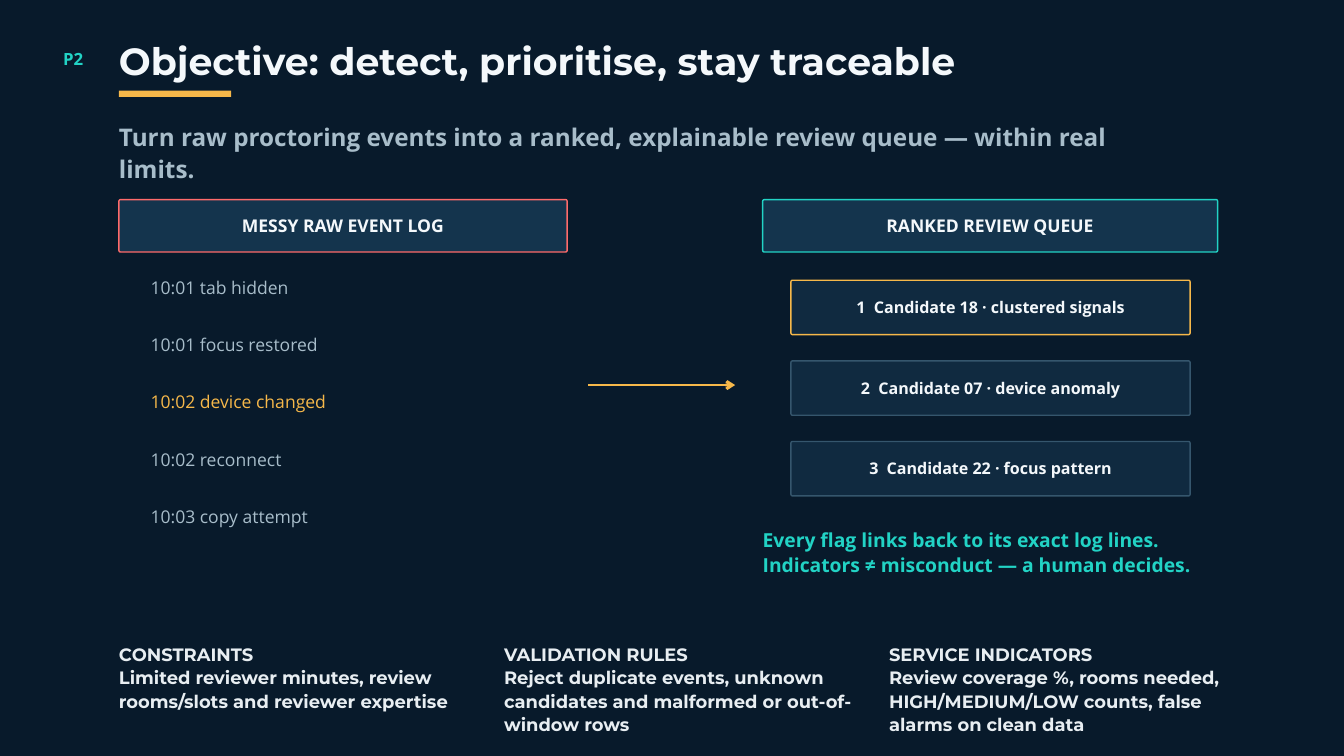
from lxml import etree
from pptx import Presentation
from pptx.dml.color import RGBColor
from pptx.enum.shapes import MSO_CONNECTOR, MSO_SHAPE
from pptx.enum.text import MSO_ANCHOR, MSO_AUTO_SIZE, PP_ALIGN
from pptx.oxml.ns import qn
from pptx.util import Inches, Pt

LEFT, CENTER = PP_ALIGN.LEFT, PP_ALIGN.CENTER
TOP, MIDDLE = MSO_ANCHOR.TOP, MSO_ANCHOR.MIDDLE
NO_AUTOFIT = MSO_AUTO_SIZE.NONE
HEADING, BODY = "Montserrat", "Open Sans"
NAVY, PANEL, CARD, EDGE = "081A2B", "14344D", "102A40", "35566D"
WHITE, PALE, MUTED = "F4F8FB", "E8EEF2", "A8BDCA"
TEAL, AMBER, RED = "22D3C5", "F6B84A", "FF6B6B"

PAGE = "P2"
TITLE = "Objective: detect, prioritise, stay traceable"
SUBTITLE = "Turn raw proctoring events into a ranked, explainable review queue — within real limits."
HEADERS = [
    ("MESSY RAW EVENT LOG", 1.77, 6.67, RED),
    ("RANKED REVIEW QUEUE", 11.35, 6.77, TEAL),
]
EVENTS = [
    ("10:01 tab hidden", MUTED),
    ("10:01 focus restored", MUTED),
    ("10:02 device changed", AMBER),
    ("10:02 reconnect", MUTED),
    ("10:03 copy attempt", MUTED),
]
QUEUE = [
    ("1  Candidate 18 · clustered signals", AMBER),
    ("2  Candidate 07 · device anomaly", EDGE),
    ("3  Candidate 22 · focus pattern", EDGE),
]
QUEUE_NOTE = "Every flag links back to its exact log lines. Indicators ≠ misconduct — a human decides."
NOTES = [
    ("CONSTRAINTS", "Limited reviewer minutes, review rooms/slots and reviewer expertise"),
    ("VALIDATION RULES", "Reject duplicate events, unknown candidates and malformed or out-of-window rows"),
    ("SERVICE INDICATORS", "Review coverage %, rooms needed, HIGH/MEDIUM/LOW counts, false alarms on clean data"),
]


def rgb(value):
    """Turn a hex string into a colour."""
    return RGBColor.from_string(value)


def write(sp, lines, size, leading, color, font=BODY, bold=True,
          align=LEFT, anchor=TOP, inset=0):
    """Fill a shape with evenly formatted paragraphs."""
    tf = sp.text_frame
    tf.word_wrap = True
    tf.auto_size = NO_AUTOFIT
    tf.vertical_anchor = anchor
    tf.margin_left = tf.margin_right = tf.margin_top = tf.margin_bottom = Inches(inset)
    tf.text = "\n".join(lines)
    for p in tf.paragraphs:
        p.alignment = align
        p.line_spacing = Pt(leading)
        p.font.name = font
        p.font.size = Pt(size)
        p.font.bold = bold
        p.font.color.rgb = rgb(color)


def add_text(s, box, lines, size, leading, color, **style):
    """Add a text box."""
    sp = s.shapes.add_textbox(*map(Inches, box))
    write(sp, lines, size, leading, color, **style)


def add_box(s, box, text, size, leading, fill, line):
    """Add a softly rounded box with a centred label."""
    sp = s.shapes.add_shape(MSO_SHAPE.ROUNDED_RECTANGLE, *map(Inches, box))
    sp.adjustments[0] = 0.03
    sp.shadow.inherit = False
    sp.fill.solid()
    sp.fill.fore_color.rgb = rgb(fill)
    sp.line.color.rgb = rgb(line)
    sp.line.width = Pt(1.5)
    write(sp, [text], size, leading, WHITE, align=CENTER, anchor=MIDDLE, inset=0.06)


def add_arrow(s, x1, x2, y):
    """Add a horizontal arrow."""
    arrow = s.shapes.add_connector(
        MSO_CONNECTOR.STRAIGHT, Inches(x1), Inches(y), Inches(x2), Inches(y))
    arrow.line.color.rgb = rgb(AMBER)
    arrow.line.width = Pt(3)
    etree.SubElement(arrow.line._get_or_add_ln(), qn("a:tailEnd"), type="arrow")
    etree.SubElement(arrow._element.spPr, qn("a:effectLst"))


def main():
    """Build the slide."""
    prs = Presentation()
    prs.slide_width, prs.slide_height = Inches(20), Inches(11.25)
    s = prs.slides.add_slide(prs.slide_layouts[5])
    s.background.fill.solid()
    s.background.fill.fore_color.rgb = rgb(NAVY)

    title = s.shapes.title
    title.left, title.top, title.width, title.height = map(Inches, (1.77, 0.64, 16.67, 0.59))
    write(title, [TITLE], 40.5, 42.5, WHITE, font=HEADING)
    add_text(s, (0.94, 0.7, 0.73, 0.31), [PAGE], 18, 23.4, TEAL)
    rule = s.shapes.add_shape(MSO_SHAPE.RECTANGLE, *map(Inches, (1.77, 1.35, 1.67, 0.09)))
    rule.shadow.inherit = False
    rule.fill.solid()
    rule.fill.fore_color.rgb = rgb(AMBER)
    rule.line.fill.background()
    add_text(s, (1.77, 1.79, 15.62, 0.46), [SUBTITLE], 26, 33.8, MUTED)

    for text, left, width, line in HEADERS:
        add_box(s, (left, 2.97, width, 0.78), text, 18.8, 21.6, PANEL, line)
    for i, (text, color) in enumerate(EVENTS):
        add_text(s, (2.24, 4.09 + i * 0.855, 5.21, 0.33), [text], 18.8, 24.4, color, bold=False)
    add_arrow(s, 8.75, 10.94, 5.73)
    for i, (text, line) in enumerate(QUEUE):
        add_box(s, (11.77, 4.17 + i * 1.2, 5.94, 0.81), text, 17.2, 19.8, CARD, line)
    add_text(s, (11.35, 7.83, 6.77, 0.71), [QUEUE_NOTE], 20.7, 27, TEAL)
    for i, lines in enumerate(NOTES):
        add_text(s, (1.77 + i * 5.73, 9.55, 5.21, 1.38), lines, 19.2, 25, PALE, font=HEADING)

    prs.save("out.pptx")


if __name__ == "__main__":
    main()
